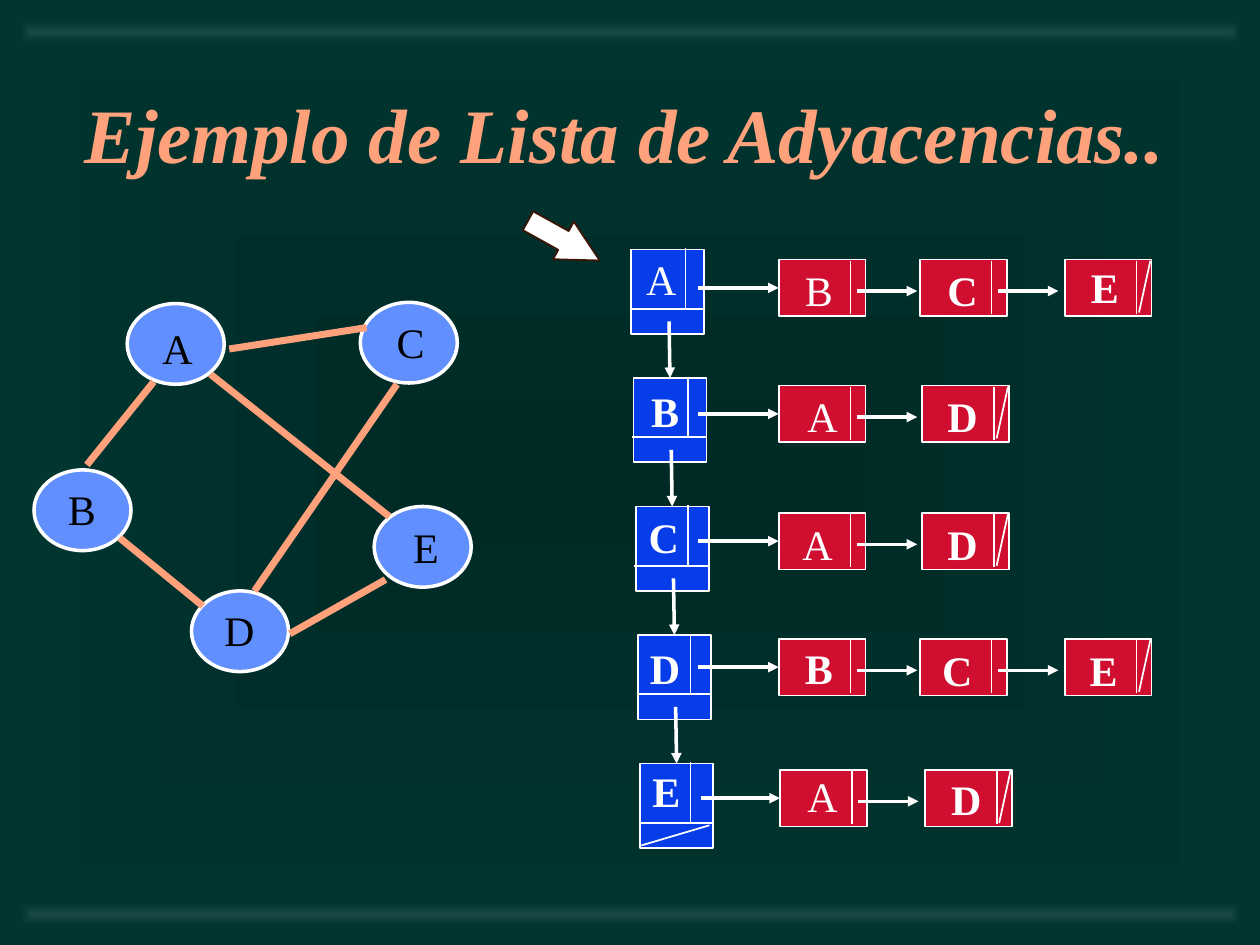
from dataclasses import dataclass
from itertools import pairwise

from lxml.etree import SubElement
from pptx import Presentation
from pptx.dml.color import RGBColor
from pptx.enum.shapes import MSO_CONNECTOR, MSO_SHAPE
from pptx.enum.text import MSO_ANCHOR, MSO_AUTO_SIZE, PP_ALIGN
from pptx.oxml.ns import qn
from pptx.util import Inches, Pt

WHITE, SALMON, BLACK = "FFFFFF", "FFA27C", "000000"
BLUE, RED, NODE_BLUE = "063DE8", "CF0E30", "618FFD"


@dataclass
class Label:
    text: str
    x: float
    y: float
    bold: bool = True


@dataclass
class Node:
    x: float
    y: float
    label: Label


@dataclass
class Cell:
    x: float
    label: Label


@dataclass
class Row:
    divider: float
    link_x: float
    cell_y: float
    head: Label
    cells: list[Cell]


NODES = [
    Node(1.01, 2.41, Label("A", 1.19, 2.51, False)),
    Node(0.27, 3.73, Label("B", 0.44, 3.79, False)),
    Node(1.52, 4.69, Label("D", 1.68, 4.75, False)),
    Node(2.97, 4.02, Label("E", 3.18, 4.09, False)),
    Node(2.86, 2.4, Label("C", 3.05, 2.46, False)),
]
EDGES = [
    (1.22, 3.03, 0.69, 3.69),
    (2.91, 2.6, 1.82, 2.77),
    (3.09, 4.1, 1.67, 2.97),
    (1.61, 4.81, 0.95, 4.27),
    (3.15, 3.05, 2.02, 4.69),
    (3.06, 4.6, 2.3, 5.03),
]
ROWS = [
    Row(5.44, 5.54, 2.06, Label("A", 5.03, 1.96, False), [
        Cell(6.18, Label("B", 6.29, 2.05, False)),
        Cell(7.3, Label("C", 7.42, 2.05)),
        Cell(8.45, Label("E", 8.56, 2.03))]),
    Row(5.46, 5.54, 3.06, Label("B", 5.07, 3.01), [
        Cell(6.18, Label("A", 6.31, 3.05, False)),
        Cell(7.32, Label("D", 7.42, 3.05))]),
    Row(5.46, 5.54, 4.07, Label("C", 5.05, 4.01), [
        Cell(6.18, Label("A", 6.27, 4.07, False)),
        Cell(7.32, Label("D", 7.42, 4.07))]),
    Row(5.48, 5.54, 5.07, Label("D", 5.06, 5.05), [
        Cell(6.18, Label("B", 6.29, 5.05)),
        Cell(7.3, Label("C", 7.38, 5.07)),
        Cell(8.45, Label("E", 8.55, 5.07))]),
    Row(5.48, 5.56, 6.11, Label("E", 5.08, 6.03), [
        Cell(6.19, Label("A", 6.31, 6.07, False)),
        Cell(7.34, Label("D", 7.45, 6.09))]),
]


def rgb(color: str) -> RGBColor:
    return RGBColor.from_string(color)


def set_font(font, color: str, **values) -> None:
    for name, value in {"name": "Times New Roman", **values}.items():
        setattr(font, name, value)
    font.color.rgb = rgb(color)


def set_gradient(fill, element, inner: str, outer: str) -> None:
    fill.gradient()
    for stop, color in zip(fill.gradient_stops, (inner, outer)):
        stop.color.rgb = rgb(color)
    grad = element.find(".//" + qn("a:gradFill"))
    lin = grad.find(qn("a:lin"))
    grad_path = lin.makeelement(qn("a:path"), {"path": "rect"})
    grad.replace(lin, grad_path)
    SubElement(grad_path, qn("a:fillToRect"), dict.fromkeys("ltrb", "50000"))


def add_box(s, kind, x: float, y: float, w: float, h: float, fill: str,
            line: str = WHITE, width: float = 1):
    sp = s.shapes.add_shape(kind, Inches(x), Inches(y), Inches(w), Inches(h))
    sp.shadow.inherit = False
    sp.fill.solid()
    sp.fill.fore_color.rgb = rgb(fill)
    sp.line.color.rgb = rgb(line)
    sp.line.width = Pt(width)
    return sp


def add_line(s, x1: float, y1: float, x2: float, y2: float,
             color: str = WHITE, width: float = 1, arrow: bool = False):
    cxn = s.shapes.add_connector(
        MSO_CONNECTOR.STRAIGHT, Inches(x1), Inches(y1), Inches(x2), Inches(y2))
    cxn.line.color.rgb = rgb(color)
    cxn.line.width = Pt(width)
    if arrow:
        SubElement(cxn.line._get_or_add_ln(), qn("a:tailEnd"), type="triangle")
    SubElement(cxn._element.spPr, qn("a:effectLst"))
    return cxn


def add_label(s, label: Label, color: str) -> None:
    w = 0.42 if label.text in "BE" else 0.44
    tf = s.shapes.add_textbox(
        Inches(label.x), Inches(label.y), Inches(w), Inches(0.5)).text_frame
    tf.word_wrap = False
    tf.auto_size = MSO_AUTO_SIZE.SHAPE_TO_FIT_TEXT
    r = tf.paragraphs[0].add_run()
    r.text = label.text
    set_font(r.font, color, size=Pt(24), bold=label.bold)


def add_title(s, text: str) -> None:
    sp = s.shapes.title
    sp.left, sp.top, sp.width, sp.height = map(Inches, (0.33, 0.43, 9.26, 1.25))
    tf = sp.text_frame
    tf.vertical_anchor = MSO_ANCHOR.MIDDLE
    tf.auto_size = MSO_AUTO_SIZE.NONE
    p = tf.paragraphs[0]
    p.alignment = PP_ALIGN.CENTER
    r = p.add_run()
    r.text = text
    set_font(r.font, SALMON, size=Pt(44), bold=True, italic=True)


def add_graph(s) -> None:
    for node in NODES:
        add_box(s, MSO_SHAPE.OVAL, node.x, node.y, 0.77, 0.64, NODE_BLUE, width=2)
    for edge in EDGES:
        add_line(s, *edge, color=SALMON, width=4)
    for node in NODES:
        add_label(s, node.label, BLACK)


def add_cell(s, cell: Cell, y: float, last: bool):
    x = cell.x
    sp = add_box(s, MSO_SHAPE.RECTANGLE, x, y, 0.69, 0.45, RED)
    add_line(s, x + 0.57, y + 0.01, x + 0.57, y + 0.43)
    if last:
        add_line(s, x + 0.59, y + 0.42, x + 0.68, y + 0.01)
    else:
        add_line(s, x + 0.62, y + 0.25, x + 1.1, y + 0.25, width=2, arrow=True)
    return sp


def add_adjacency_list(s) -> None:
    spots = [(5.01 + 0.0175 * i, 1.98 + 1.02 * i) for i in range(len(ROWS))]
    heads = [add_box(s, MSO_SHAPE.RECTANGLE, x, y, 0.58, 0.67, BLUE)
             for x, y in spots]
    for (x, y), row in zip(spots, ROWS):
        add_line(s, x - 0.01, y + 0.47, x + 0.58, y + 0.47)
        add_line(s, row.divider, y - 0.01, row.divider, y + 0.47)
    for ((x, y), _), (_, below) in pairwise(zip(spots, heads)):
        add_line(s, x + 0.3, y + 0.57, x + 0.3, y + 1.02, width=2,
                 arrow=True).end_connect(below, 0)
    x, y = spots[-1]
    add_line(s, x + 0.01, y + 0.65, x + 0.55, y + 0.49)

    for row in ROWS:
        boxes = [add_cell(s, cell, row.cell_y, cell is row.cells[-1])
                 for cell in row.cells]
        mid = row.cell_y + 0.225
        add_line(s, row.link_x, mid, row.cells[0].x, mid, width=2,
                 arrow=True).end_connect(boxes[0], 1)
        for label in [row.head, *(cell.label for cell in row.cells)]:
            add_label(s, label, WHITE)


def main() -> None:
    prs = Presentation()
    prs.slide_width, prs.slide_height = Inches(10), Inches(7.5)
    s = prs.slides.add_slide(prs.slide_layouts[5])
    set_gradient(s.background.fill, s._element, "002A26", "003530")
    for y in (0.17, 7.17):
        bar = add_box(s, MSO_SHAPE.RECTANGLE, 0.17, y, 9.67, 0.17, BLACK)
        bar.line.fill.background()
        set_gradient(bar.fill, bar._element, "194944", "003530")
    add_title(s, "Ejemplo de Lista de Adyacencias..")
    add_graph(s)
    add_adjacency_list(s)
    pointer = add_box(s, MSO_SHAPE.RIGHT_ARROW, 4.15, 1.74, 0.65, 0.34,
                      WHITE, "3E1403")
    pointer.rotation = 29
    pointer.adjustments[1] = 0.965
    prs.save("out.pptx")


if __name__ == "__main__":
    main()
